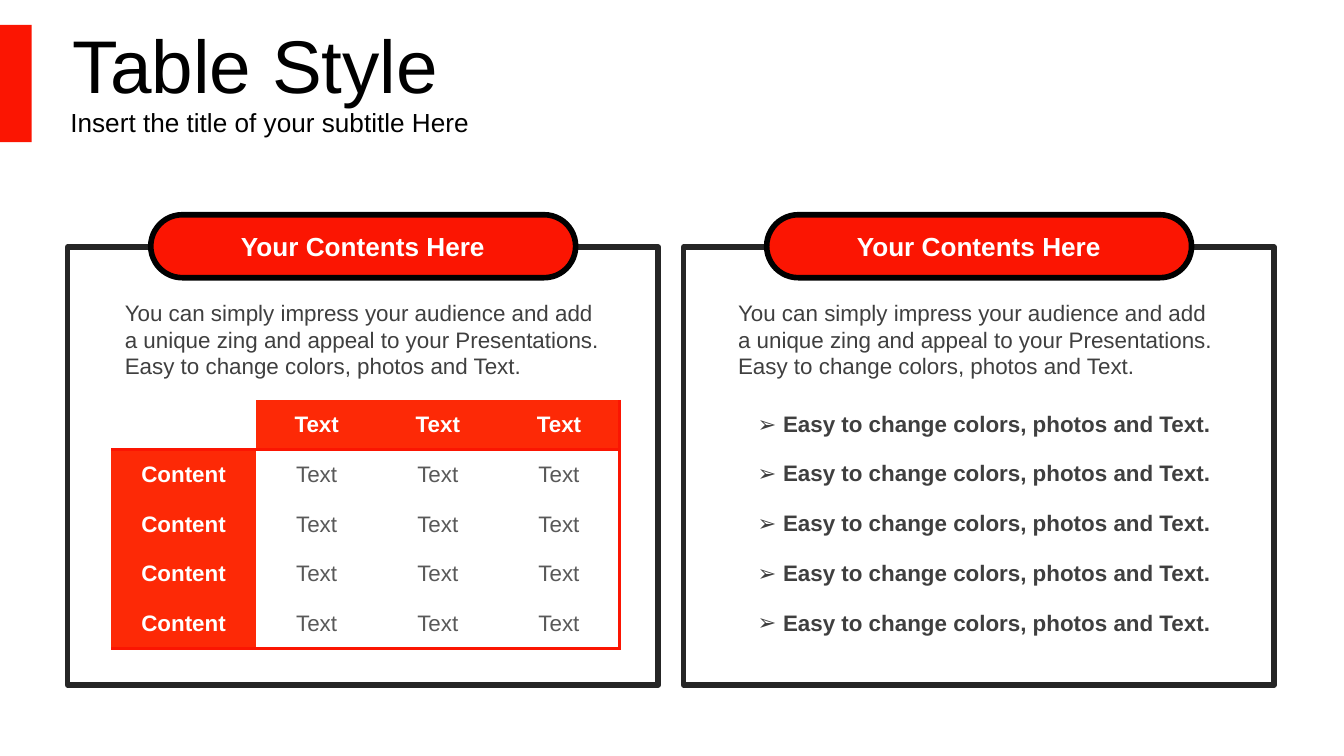
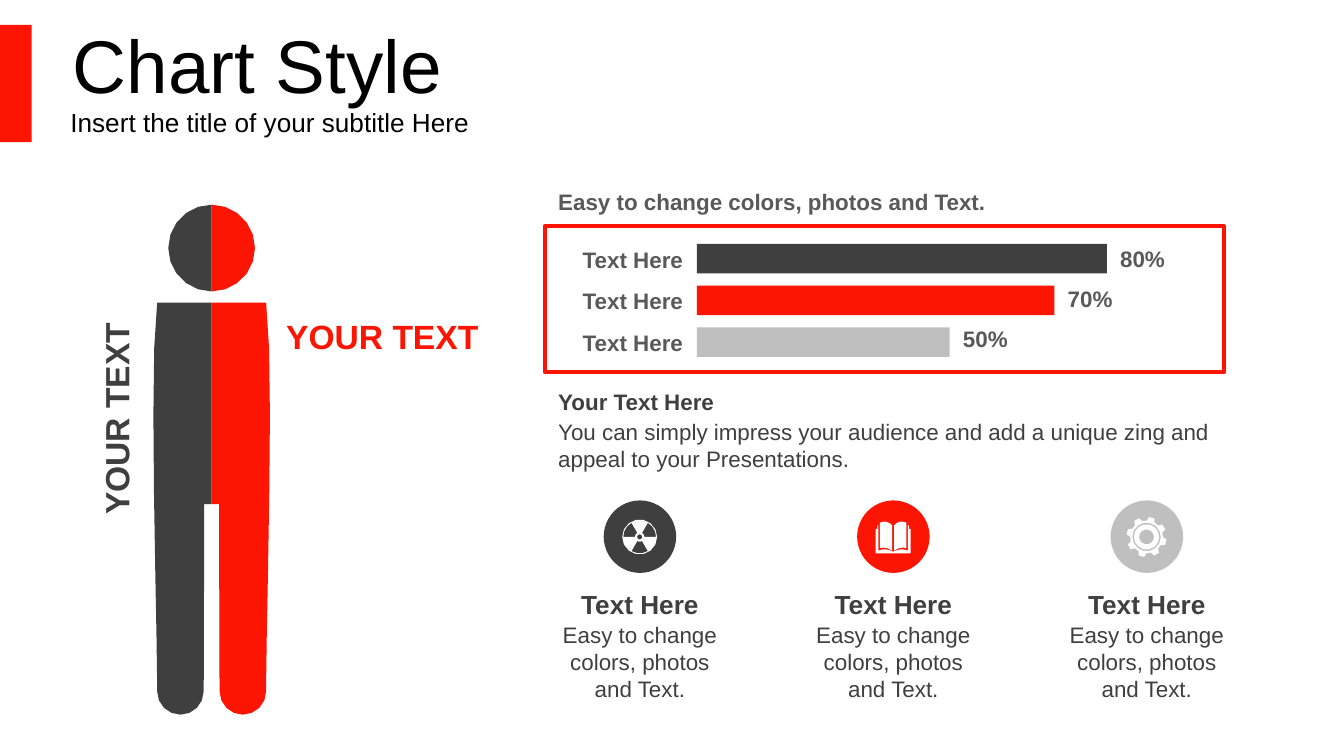
"""Build a table slide and a chart slide in one red and black style."""
from math import cos, radians, sin

from lxml.etree import SubElement as Sub
from pptx import Presentation
from pptx.dml.color import RGBColor
from pptx.enum.shapes import MSO_SHAPE as Form
from pptx.enum.text import MSO_ANCHOR as Anchor, PP_ALIGN as Align
from pptx.oxml.ns import qn
from pptx.util import Cm, Pt

RED, CELL, BLACK, WHITE = "FB1502", "FD2906", "000000", "FFFFFF"
EDGE, DARK, GREY, PALE = "262626", "3F3F3F", "595959", "BFBFBF"
EASY = "Easy to change colors, photos and Text."
ZING = ("You can simply impress your audience and add a unique zing "
        "and appeal to your Presentations.")
BODY = dict(size=Pt(12), color=DARK)
BOLD = dict(BODY, bold=True)
NOTE = dict(BOLD, color=GREY)
HEAD = dict(BOLD, size=Pt(14))


def tint(code):
    return RGBColor.from_string(code)


def write(para, text, fmt, align=Align.LEFT):
    para.alignment = align
    run = para.add_run()
    run.text = text
    font = run.font
    font.name = "Arial"
    for key, value in fmt.items():
        if key == "color":
            font.color.rgb = tint(value)
        else:
            setattr(font, key, value)


def label(slide, at, text, fmt, align=Align.LEFT, anchor=Anchor.TOP, pad=0.13):
    box = slide.shapes.add_textbox(*map(Cm, at))
    frame = box.text_frame
    props = dict(word_wrap=True, vertical_anchor=anchor,
                 margin_left=Cm(0.25), margin_right=Cm(0.25),
                 margin_top=Cm(pad), margin_bottom=Cm(pad))
    for key, value in props.items():
        setattr(frame, key, value)
    write(frame.paragraphs[0], text, fmt, align)
    return box


def paint(shape, fill=None, line=None, width=0):
    shape.shadow.inherit = False
    if fill:
        shape.fill.solid()
        shape.fill.fore_color.rgb = tint(fill)
    else:
        shape.fill.background()
    if line:
        shape.line.color.rgb = tint(line)
        shape.line.width = Pt(width)
    else:
        shape.line.fill.background()


def block(slide, at, fill=None, line=None, width=0, form=Form.RECTANGLE):
    shape = slide.shapes.add_shape(form, *map(Cm, at))
    paint(shape, fill, line, width)
    return shape


def blob(slide, loops, fill):
    loops = [[(Cm(x), Cm(y)) for x, y in loop] for loop in loops]
    pen = slide.shapes.build_freeform(*loops[0][0])
    for i, loop in enumerate(loops):
        if i:
            pen.move_to(*loop[0])
        pen.add_line_segments(loop[1:], close=True)
    paint(pen.convert_to_shape(), fill)


def arc(x, y, r, start=0, end=360, steps=14):
    turns = [radians(start + (end - start) * i / steps) for i in range(steps + 1)]
    return [(x + r * cos(t), y + r * sin(t)) for t in turns]


def bend(a, b, c, d, steps=4):
    curve = []
    for i in range(steps + 1):
        t = i / steps
        u = 1 - t
        mix = (u ** 3, 3 * u * u * t, 3 * u * t * t, t ** 3)
        curve.append(tuple(sum(m * v for m, v in zip(mix, axis))
                           for axis in zip(a, b, c, d)))
    return curve


def place(loops, x, y=0, side=1):
    return [[(x + side * dx, y + dy) for dx, dy in loop] for loop in loops]


def person(slide):
    head = arc(0, 4.69, 0.82, -90, 90, 10)
    leg = bend((1.03, 12.93), (1.03, 11.71), (1.19, 6.91), (1.03, 5.72), 6)
    foot = arc(0.59, 13.07, 0.44, 180, 0, 8)
    body = [(0, 5.72), (0, 9.53), (0.14, 9.53), *foot, *leg]
    for side, fill in ((-1, DARK), (1, RED)):
        blob(slide, place([body, head], 4, side=side), fill)


def hazard(x, y):
    loops = [arc(x, y, 0.33), arc(x, y, 0.05, steps=8)]
    for turn in (60, 180, 300):
        loops.append(arc(x, y, 0.31, turn, turn + 60, 3)
                     + arc(x, y, 0.09, turn + 60, turn, 2))
    return loops


def book(x, y):
    page = (bend((0.02, -0.22), (0.06, -0.27), (0.15, -0.32), (0.25, -0.27))
            + bend((0.25, 0.21), (0.17, 0.19), (0.09, 0.21), (0.02, 0.26)))
    cover = (bend((0.28, 0.26), (0.16, 0.21), (0.1, 0.24), (0, 0.28))
             + [(0, 0.31), (0.33, 0.31), (0.33, -0.15), (0.3, -0.15),
                (0.3, -0.22), (0.28, -0.22)])
    return [loop for side in (-1, 1) for loop in place([page, cover], x, y, side)]


def gear(x, y):
    teeth = []
    for turn in range(-75, 285, 45):
        for step, r in ((-14, 0.31), (-8, 0.38), (8, 0.38), (14, 0.31)):
            teeth += arc(x, y, r, turn + step, turn + step, 1)[:1]
    return [teeth] + [arc(x, y, r) for r in (0.27, 0.24, 0.14)]


def edge(cell, sides):
    props = cell._tc.get_or_add_tcPr()
    for side in "LRTB":
        line = Sub(props, qn("a:ln" + side), w=str(Pt(1.5)))
        if side in sides:
            fill = Sub(line, qn("a:solidFill"))
            Sub(fill, qn("a:srgbClr"), val=RED)
        else:
            Sub(line, qn("a:noFill"))


def grid(slide, x, y, widths, rows):
    size = (sum(widths), 0.94 * len(rows))
    table = slide.shapes.add_table(len(rows), len(widths),
                                   *map(Cm, (x, y, *size))).table
    table.first_row = table.horz_banding = False
    for col, width in zip(table.columns, widths):
        col.width = Cm(width)
    for row in table.rows:
        row.height = Cm(0.94)
    return table


def fill_cell(cell, text, fmt, fill=None, sides="", bullet=False):
    edge(cell, sides)
    if fill:
        cell.fill.solid()
        cell.fill.fore_color.rgb = tint(fill)
    else:
        cell.fill.background()
    cell.vertical_anchor = Anchor.MIDDLE
    if not text:
        cell.margin_top = cell.margin_bottom = 0
        return
    para = cell.text_frame.paragraphs[0]
    if bullet:
        props = para._p.get_or_add_pPr()
        props.set("marL", str(Cm(0.48)))
        props.set("indent", str(-Cm(0.48)))
        tone = Sub(props, qn("a:buClr"))
        Sub(tone, qn("a:srgbClr"), val=DARK)
        Sub(props, qn("a:buFont"), typeface="Arial")
        Sub(props, qn("a:buChar"), char="➢")
    write(para, text, fmt, Align.CENTER)


def data(slide):
    rows = [["", *["Text"] * 3]] + [["Content", *["Text"] * 3]] * 4
    table = grid(slide, 2.1, 7.56, [2.74, 2.29, 2.29, 2.29], rows)
    for r, row in enumerate(rows):
        for c, text in enumerate(row):
            key = (r == 0) != (c == 0)
            fmt = dict(BOLD, color=WHITE) if key else dict(BODY, color=GREY)
            sides = ("R" * (c == 3) + "T" * (r == 1) + "B" * (r in (0, 4)))
            fill_cell(table.cell(r, c), text, fmt, CELL if key else None, sides)


def points(slide):
    rows = [EASY] * 5
    table = grid(slide, 13.7, 7.55, [9.8], rows)
    for r, text in enumerate(rows):
        fill_cell(table.cell(r, 0), text, BOLD, bullet=True)


def panel(slide, x, left):
    block(slide, (x, 4.67, 11.16, 8.28), None, EDGE, 3)
    pill = block(slide, (x + 1.57, 4.06, 8.03, 1.19), RED, BLACK, 3,
                 Form.ROUNDED_RECTANGLE)
    pill.adjustments[0] = 0.5
    label(slide, (x + 2.29, 4.22, 6.58, 0.86), "Your Contents Here",
          dict(HEAD, color=WHITE), Align.CENTER)
    label(slide, (left, 5.52, 9.6, 1.8), f"{ZING} {EASY}", BODY)


def bars(slide):
    block(slide, (10.3, 4.27, 12.83, 2.77), None, RED, 2)
    items = ((7.75, "80%", DARK), (6.76, "70%", RED), (4.78, "50%", PALE))
    for i, (width, share, fill) in enumerate(items):
        block(slide, (13.17, 4.61 + 0.79 * i, width, 0.56), fill)
        label(slide, (10.7, 4.53 + 0.78 * i, 2.46, 0.76), "Text Here", NOTE,
              Align.RIGHT, Anchor.MIDDLE)
        label(slide, (13.17 + width, 4.5 + 0.76 * i, 1.55, 0.76), share, NOTE)


def badge(slide, x, fill, icon):
    block(slide, (x + 1.17, 9.46, 1.37, 1.37), fill, form=Form.OVAL)
    blob(slide, icon(x + 1.85, 10.15), WHITE)
    label(slide, (x, 10.99, 3.71, 0.86), "Text Here", HEAD, Align.CENTER,
          Anchor.MIDDLE)
    label(slide, (x, 11.61, 3.71, 1.8), EASY, BODY, Align.CENTER)


def share_band(slide):
    band = block(slide, (0, 0.47, 0.6, 2.22), RED).element
    band.nvSpPr.cNvPr.set("id", "9")
    slide.slide_layout.shapes.element.append(band)


def start(deck, title):
    slide = deck.slides.add_slide(deck.slide_layouts[6])
    label(slide, (1.08, 1.93, 19.96, 0.74),
          "Insert the title of your subtitle Here",
          dict(size=Pt(14), color=BLACK), anchor=Anchor.MIDDLE, pad=0.25)
    label(slide, (1.13, 0.48, 19.94, 1.45), title,
          dict(size=Pt(40), color=BLACK), anchor=Anchor.MIDDLE, pad=0.25)
    return slide


def main():
    deck = Presentation()
    deck.slide_width, deck.slide_height = Cm(25.4), Cm(14.29)

    slide = start(deck, "Table Style")
    share_band(slide)
    panel(slide, 1.28, 2.11)
    data(slide)
    panel(slide, 12.92, 13.7)
    points(slide)

    slide = start(deck, "Chart Style")
    person(slide)
    big = dict(BOLD, size=Pt(18))
    label(slide, (5.16, 5.85, 4.34, 1.02), "YOUR TEXT", dict(big, color=RED))
    side = label(slide, (-0.06, 7.59, 4.5, 1.02), "YOUR TEXT", big, Align.RIGHT)
    side.rotation = 270
    label(slide, (10.3, 3.42, 9.8, 0.76), EASY, NOTE)
    bars(slide)
    label(slide, (10.3, 7.77, 12.83, 1.27), ZING, BODY)
    label(slide, (10.3, 7.21, 12.83, 0.76), "Your Text Here", BOLD)
    for i, (fill, icon) in enumerate(((DARK, hazard), (RED, book), (PALE, gear))):
        badge(slide, 10.24 + 4.79 * i, fill, icon)

    deck.save("out.pptx")


if __name__ == "__main__":
    main()
